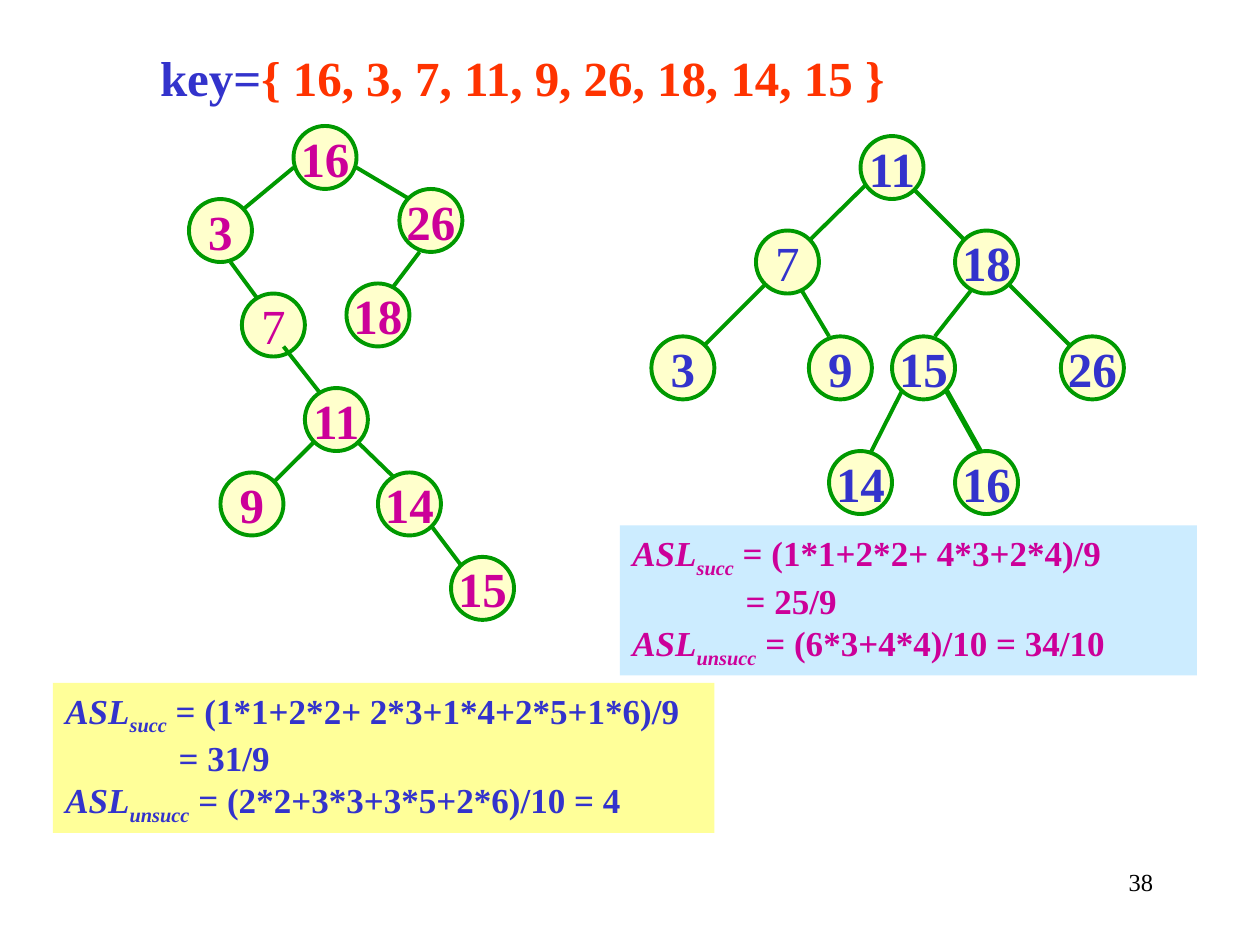
"""Build a slide comparing two binary search trees and their average search lengths."""
from pptx import Presentation
from pptx.dml.color import RGBColor
from pptx.enum.shapes import MSO_CONNECTOR as CONN, MSO_SHAPE as SHAPE
from pptx.enum.text import MSO_ANCHOR as ANCHOR, MSO_AUTO_SIZE as AUTO, PP_ALIGN as ALIGN
from pptx.oxml.xmlchemy import OxmlElement
from pptx.util import Inches, Pt

COLORS = {"blue": "3333CC", "magenta": "CC0099", "red": "FF3300", "green": "009900",
          "cream": "FFFFCC", "yellow": "FFFF99", "sky": "CCECFF", "black": "000000"}
FONT = "Times New Roman"
NODE = 0.5
HANGING = 0.9

TITLE = [("key=", "blue"), ("{ 16, 3, 7, 11, 9, 26, 18, 14, 15 }", "red")]

# Each node: label, left, top, edge from its parent (x1, y1, x2, y2)
INSERTION_TREE = [
    ("16", 2.33, 1, None),
    ("3", 1.5, 1.58, (2.33, 1.33, 1.92, 1.67)),
    ("26", 3.17, 1.5, (2.83, 1.33, 3.25, 1.58)),
    ("7", 1.92, 2.33, (1.83, 2.08, 2.08, 2.42)),
    ("18", 2.75, 2.25, (3.33, 2, 3.08, 2.33)),
    ("11", 2.42, 3.08, (2.25, 2.75, 2.58, 3.17)),
    ("9", 1.75, 3.75, (2.5, 3.5, 2.17, 3.83)),
    ("14", 3, 3.75, (2.83, 3.5, 3.17, 3.83)),
    ("15", 3.58, 4.42, (3.42, 4.17, 3.67, 4.5)),
]
BALANCED_TREE = [
    ("14", 6.58, 3.58, (7.17, 3.08, 6.83, 3.75)),
    ("16", 7.58, 3.58, (7.5, 3.08, 7.92, 3.83)),
    ("3", 5.17, 2.67, (6.08, 2.25, 5.58, 2.75)),
    ("9", 6.42, 2.67, (6.33, 2.25, 6.58, 2.67)),
    ("15", 7.08, 2.67, (7.75, 2.25, 7.42, 2.67)),
    ("26", 8.42, 2.67, (8, 2.25, 8.75, 3)),
    ("7", 6, 1.83, (6.92, 1.42, 6.33, 2)),
    ("18", 7.58, 1.83, (7.25, 1.5, 7.75, 2)),
    ("11", 6.83, 1.08, None),
]
TREES = [(BALANCED_TREE, "blue"), (INSERTION_TREE, "magenta")]
HEAVY_EDGE = (7.5, 3.08, 7.92, 3.83)

# Each panel: box, fill, text colour, lines of (subscript, formula)
PANELS = [
    ((0.42, 5.42, 5.25, 1.19), "yellow", "blue",
     [("succ", " = (1*1+2*2+ 2*3+1*4+2*5+1*6)/9"), (None, "= 31/9"),
      ("unsucc", " = (2*2+3*3+3*5+2*6)/10 = 4")]),
    ((4.92, 4.17, 4.58, 1.19), "sky", "magenta",
     [("succ", " = (1*1+2*2+ 4*3+2*4)/9"), (None, "= 25/9"),
      ("unsucc", " = (6*3+4*4)/10 = 34/10")]),
]


def rgb(name):
    return RGBColor.from_string(COLORS[name])


def add_run(p, text, color, baseline=None, **fmt):
    r = p.add_run()
    r.text = text
    for name, value in {"name": FONT, "bold": True, **fmt}.items():
        setattr(r.font, name, value)
    r.font.color.rgb = rgb(color)
    if baseline:
        r.font._element.set("baseline", str(baseline))


def add_filled(shapes, kind, box, fill):
    s = shapes.add_shape(kind, *map(Inches, box))
    s.shadow.inherit = False
    s.fill.solid()
    s.fill.fore_color.rgb = rgb(fill)
    s.line.fill.background()
    return s


def add_edge(shapes, ends):
    s = shapes.add_connector(CONN.STRAIGHT, *map(Inches, ends))
    s.line.color.rgb = rgb("green")
    s.line.width = Pt(3 if ends == HEAVY_EDGE else 2.25)
    s._element.spPr.append(OxmlElement("a:effectLst"))


def add_node(shapes, label, x, y, color):
    s = add_filled(shapes, SHAPE.OVAL, (x, y, NODE, NODE), "cream")
    s.line.color.rgb = rgb("green")
    s.line.width = Pt(2.25)
    tf = s.text_frame
    tf.word_wrap = False
    tf.vertical_anchor = ANCHOR.MIDDLE
    p = tf.paragraphs[0]
    p.alignment = ALIGN.CENTER
    add_run(p, label, color, size=Pt(28), bold=label != "7")


def add_panel(shapes, box, fill, color, lines):
    tf = add_filled(shapes, SHAPE.RECTANGLE, box, fill).text_frame
    tf.word_wrap = True
    tf.vertical_anchor = ANCHOR.TOP
    for i, (sub, formula) in enumerate(lines):
        p = tf.add_paragraph() if i else tf.paragraphs[0]
        p.alignment = ALIGN.LEFT
        if sub:
            add_run(p, "ASL", color, size=Pt(20), italic=True)
            add_run(p, sub, color, baseline=-25000, size=Pt(20), italic=True)
        else:
            p._p.get_or_add_pPr().set("marL", str(Inches(HANGING)))
        add_run(p, formula, color, size=Pt(20))


def place_title(s):
    s.left, s.top, s.width, s.height = map(Inches, (1.17, 0.33, 6.17, 0.57))
    tf = s.text_frame
    tf.auto_size = AUTO.NONE
    tf.vertical_anchor = ANCHOR.TOP
    p = tf.paragraphs[0]
    p.alignment = ALIGN.LEFT
    for text, color in TITLE:
        add_run(p, text, color, size=Pt(28))


def main():
    prs = Presentation()
    prs.slide_width, prs.slide_height = Inches(10), Inches(7.5)
    slide = prs.slides.add_slide(prs.slide_layouts[5])
    shapes = slide.shapes
    place_title(shapes.title)
    for tree, color in TREES:
        for label, x, y, edge in tree:
            if edge:
                add_edge(shapes, edge)
            add_node(shapes, label, x, y, color)
    for panel in PANELS:
        add_panel(shapes, *panel)
    number = shapes.add_textbox(*map(Inches, (7.17, 6.83, 2.08, 0.5)))
    number.text_frame.word_wrap = True
    p = number.text_frame.paragraphs[0]
    p.alignment = ALIGN.RIGHT
    add_run(p, "38", "black", size=Pt(14), bold=False)
    prs.save("out.pptx")


if __name__ == "__main__":
    main()
